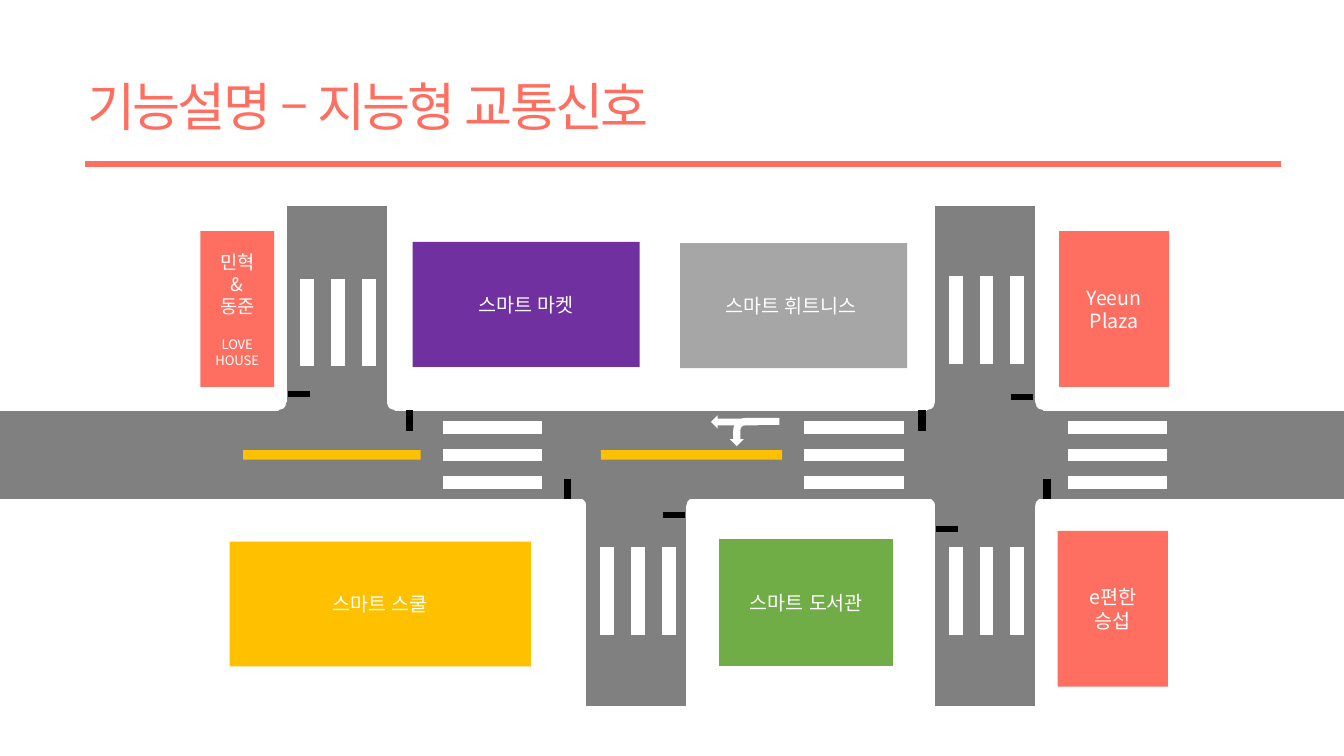
import pptx
import pptx.dml.color
import pptx.enum.lang
import pptx.enum.shapes
import pptx.enum.text
import pptx.oxml
import pptx.oxml.ns
import pptx.util

SLIDE_WIDTH = 10
SLIDE_HEIGHT = SLIDE_WIDTH * 9 / 16
COLUMNS = 100  # square grid cells, so one cell is a hundredth of the width
CELL = SLIDE_WIDTH / COLUMNS
FONT = "Noto Sans CJK KR"
COLORS = {
    "coral": "FF6F61", "purple": "7030A0", "green": "70AD47",
    "silver": "A6A6A6", "yellow": "FFC000", "road": "808080",
    "white": "FFFFFF", "black": "000000",
}
SHAPE = pptx.enum.shapes.MSO_SHAPE

ROAD_TOP, ROAD_DEPTH = 30.65, 6.4
ARM_WIDTH, CORNER = 7.3, 0.6
LINE_SPACING = 1.2

# left, top, height, junction top, junction height, crosswalk top
ARMS = [
    (21.4, 15.4, 16.7, 30, 3.4, 20.8),
    (69.65, 15.4, 16.7, 30, 3.4, 20.6),
    (43.7, 37, 15.5, 34, 3.6, 40.8),
    (69.65, 37, 15.5, 34, 3.6, 40.8),
]
MAIN_CROSSWALKS = [33, 59.9, 79.5]
CENTRE_LINES = [(18.1, 13.2), (44.7, 13.5)]
UPRIGHT_SIGNALS = [(30.3, 30.6), (68.4, 30.6), (42, 35.7), (77.7, 35.7)]
FLAT_SIGNALS = [(21.5, 29.2), (75.3, 29.4), (49.4, 38.2), (69.7, 39.2)]

# left, top, width, height, colour, outlined, lines of (text, size, space before)
BUILDINGS = [
    (30.7, 18, 16.9, 9.3, "purple", False, [("스마트 마켓", 10.5, 0)]),
    (50.6, 18.1, 16.9, 9.3, "silver", False, [("스마트 휘트니스 ", 10.5, 0)]),
    (17.1, 40.3, 22.4, 9.3, "yellow", False, [("스마트 스쿨", 10.5, 0)]),
    (53.6, 40.2, 12.8, 9.3, "green", True, [("스마트 도서관", 10.5, 0)]),
    (78.8, 17.2, 8.2, 11.6, "coral", False, [("Yeeun", 10.5, 0), ("Plaza", 10.5, 0)]),
    (78.7, 39.5, 8.2, 11.6, "coral", False, [("e편한", 10.5, 0), ("승섭", 10.5, 0)]),
    (14.9, 17.2, 5.5, 11.6, "coral", False, [
        ("민혁", 10, 0), ("&", 10, 0), ("동준", 10, 0),
        ("LOVE", 7, 10), ("HOUSE", 7, 0)]),
]


def cells(*counts):
    return [pptx.util.Inches(count * CELL) for count in counts]


def color(name):
    return pptx.dml.color.RGBColor.from_string(COLORS[name])


def drawing_element(tag, attributes=""):
    return pptx.oxml.parse_xml(
        f'<a:{tag} {pptx.oxml.ns.nsdecls("a")} {attributes}/>')


def format_runs(para, size, color_name):
    for span in para.runs:
        span.font.size = pptx.util.Pt(size)
        span.font.name = FONT
        span.font.language_id = pptx.enum.lang.MSO_LANGUAGE_ID.KOREAN
        span.font.color.rgb = color(color_name)
        latin = span.font._element.find(pptx.oxml.ns.qn("a:latin"))
        latin.addnext(drawing_element("ea", f'typeface="{FONT}"'))


def add_block(page, left, top, width, height, fill, outlined=True, kind=SHAPE.RECTANGLE):
    block = page.shapes.add_shape(kind, *cells(left, top, width, height))
    block.shadow.inherit = False
    block.fill.solid()
    block.fill.fore_color.rgb = color(fill)
    if outlined:
        block.line.color.rgb = color(fill)
        block.line.width = pptx.util.Pt(1)
        block.line._ln.append(drawing_element("miter", 'lim="800000"'))
    else:
        block.line.fill.background()
    return block


def add_title(page):
    title = page.shapes.title
    title.left, title.top, title.width, title.height = cells(5.5, 5, 97.9, 5.7)
    frame = title.text_frame
    frame.text = "기능설명 – 지능형 교통신호"
    frame.auto_size = pptx.enum.text.MSO_AUTO_SIZE.NONE
    frame.vertical_anchor = pptx.enum.text.MSO_ANCHOR.TOP
    para = frame.paragraphs[0]
    para.alignment = pptx.enum.text.PP_ALIGN.LEFT
    para.line_spacing = 1.0
    format_runs(para, 28, "coral")
    para.runs[0].font._element.set("spc", "-150")

    rule = page.shapes.add_connector(
        pptx.enum.shapes.MSO_CONNECTOR.STRAIGHT, *cells(6.3, 12.2, 95.3, 12.2))
    rule.line.color.rgb = color("coral")
    rule.line.width = pptx.util.Pt(3)
    rule._element.spPr.append(drawing_element("effectLst"))


def add_building(page, left, top, width, height, fill, outlined, lines):
    building = add_block(page, left, top, width, height, fill, outlined)
    frame = building.text_frame
    frame.word_wrap = True
    frame.margin_left = frame.margin_right = 0
    frame.vertical_anchor = pptx.enum.text.MSO_ANCHOR.MIDDLE
    frame.text = "\n".join(text for text, _, _ in lines)
    for para, (_, size, gap) in zip(frame.paragraphs, lines):
        para.alignment = pptx.enum.text.PP_ALIGN.CENTER
        para.line_spacing = pptx.util.Pt(round(size * LINE_SPACING, 1))
        para.space_before = pptx.util.Pt(gap)
        format_runs(para, size, "white")


def add_roads(page):
    for left, top, height, junction_top, junction_height, _ in ARMS:
        add_block(page, left - CORNER, junction_top, ARM_WIDTH + 2 * CORNER,
                  junction_height, "road", kind=SHAPE.PLAQUE)
        add_block(page, left, top, ARM_WIDTH, height, "road")
    add_block(page, 0, ROAD_TOP, COLUMNS, ROAD_DEPTH, "road")
    for left, width in CENTRE_LINES:
        add_block(page, left, 33.5, width, 0.7, "yellow", outlined=False)


def add_crosswalks(page):
    for stripe in range(3):
        for left, *_, top in ARMS:
            add_block(page, left + 1 + 2.3 * stripe, top, 0.9, 6.4, "white")
        for left in MAIN_CROSSWALKS:
            add_block(page, left, 31.4 + 2.05 * stripe, 7.3, 0.8, "white")


def add_signals(page):
    for left, top in UPRIGHT_SIGNALS:
        add_block(page, left, top, 0.4, 1.4, "black")
    for left, top in FLAT_SIGNALS:
        add_block(page, left, top, 1.5, 0.3, "black")


def add_lane_arrow(page):
    """Draw the straight-on arrow with its branch turning down."""
    branch = add_block(page, 55.1, 30.3, 2.1, 3.7, "white", outlined=False,
                       kind=SHAPE.BENT_ARROW)
    branch.rotation = 270
    branch._element.spPr.xfrm.set("flipH", "1")
    add_block(page, 52.9, 30.9, 3.5, 1, "white", outlined=False,
              kind=SHAPE.LEFT_ARROW)


def main():
    deck = pptx.Presentation()
    deck.slide_width = pptx.util.Inches(SLIDE_WIDTH)
    deck.slide_height = pptx.util.Inches(SLIDE_HEIGHT)
    page = deck.slides.add_slide(deck.slide_layouts[5])
    add_title(page)
    add_roads(page)
    add_crosswalks(page)
    add_signals(page)
    add_lane_arrow(page)
    for building in BUILDINGS:
        add_building(page, *building)
    deck.save("out.pptx")


if __name__ == "__main__":
    main()
